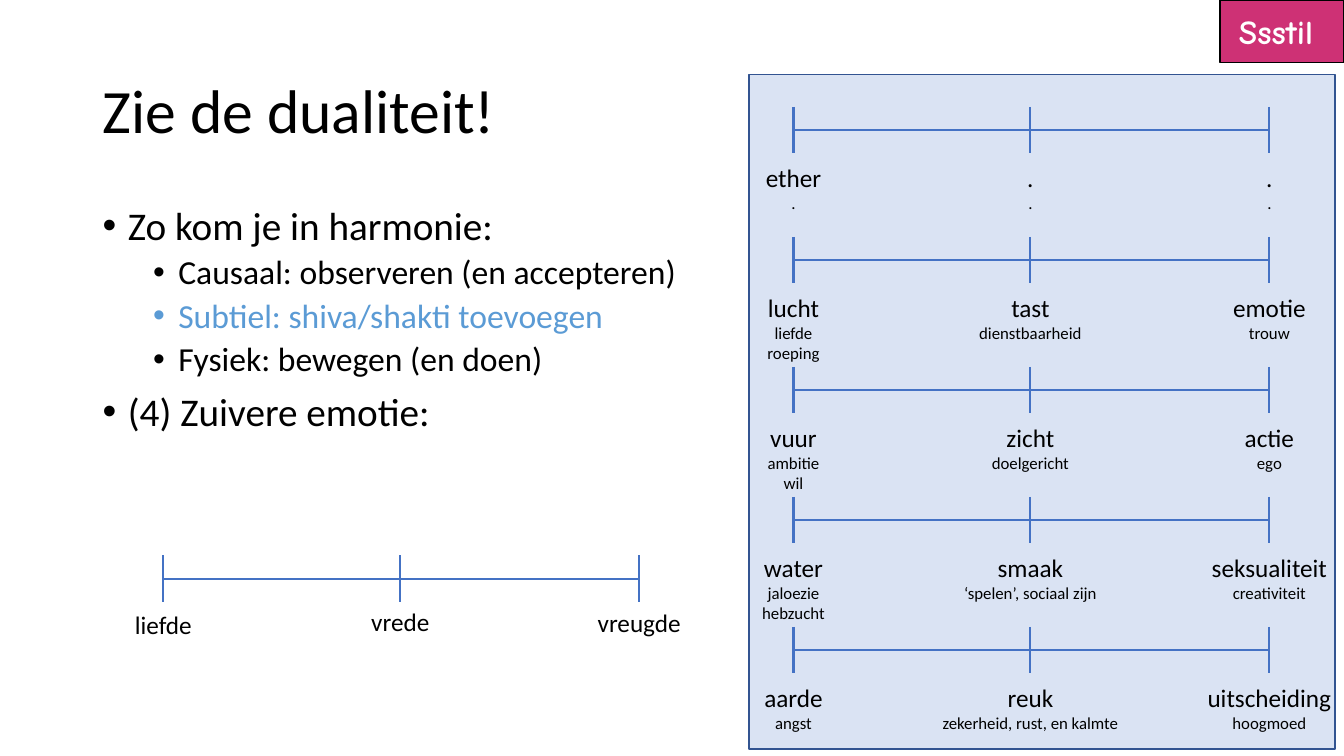
from pptx import Presentation
from pptx import util as u
from pptx.dml.color import RGBColor
from pptx.enum import shapes, text
from pptx.oxml import ns
from lxml import etree

HUES = {"ink": "000000", "white": "FFFFFF", "sky": "5B9BD5", "line": "4472C4",
        "pale": "DAE3F3", "navy": "325491", "pink": "CE3175"}
MID = text.PP_ALIGN.CENTER


class Deck:
    """Draws styled elements on the current slide."""

    font = "Calibri"
    stops = (0, 2.35, 4.72)
    tick = 0.23

    def __init__(self, slide):
        self.slide = slide

    def hue(self, name):
        return RGBColor.from_string(HUES[name])

    def style(self, para, size, hue="ink", font=None, bold=False):
        for run in para.runs:
            face = run.font
            face.name, face.size, face.bold = font or self.font, u.Pt(size), bold
            face.color.rgb = self.hue(hue)

    def text(self, box, words, wrap=True):
        frame = self.slide.shapes.add_textbox(*map(u.Inches, box)).text_frame
        frame.word_wrap = wrap
        frame.text = words
        return frame

    def title(self, box, words):
        frame = self.text(box, words)
        frame.vertical_anchor = text.MSO_ANCHOR.MIDDLE
        frame.paragraphs[0].line_spacing = 0.9
        self.style(frame.paragraphs[0], 44)

    def bullets(self, box, items):
        frame = self.text(box, "\n".join(words for words, _, _ in items))
        for para, (_, level, hue) in zip(frame.paragraphs, items):
            para.level = level
            para.line_spacing = 0.9
            para.space_before = u.Pt(5 if level else 10)
            self.style(para, 24 if level else 28, hue)
            props = para._p.get_or_add_pPr()
            props.set("marL", str(u.Inches(0.25 + 0.5 * level)))
            props.set("indent", str(u.Inches(-0.25)))
            etree.SubElement(props, ns.qn("a:buFont")).set("typeface", "Arial")
            etree.SubElement(props, ns.qn("a:buChar")).set("char", "•")

    def rect(self, box, fill, line, words="", **look):
        shape = self.slide.shapes.add_shape(
            shapes.MSO_SHAPE.RECTANGLE, *map(u.Inches, box))
        shape.shadow.inherit = False
        shape.fill.solid()
        shape.fill.fore_color.rgb = self.hue(fill)
        shape.line.color.rgb = self.hue(line)
        shape.line.width = u.Pt(1)
        if words:
            frame = shape.text_frame
            frame.text = words
            frame.vertical_anchor = text.MSO_ANCHOR.MIDDLE
            frame.paragraphs[0].alignment = MID
            self.style(frame.paragraphs[0], **look)

    def line(self, *ends):
        link = self.slide.shapes.add_connector(
            shapes.MSO_CONNECTOR.STRAIGHT, *map(u.Inches, ends))
        link.line.color.rgb = self.hue("line")
        link.line.width = u.Pt(1.5)
        etree.SubElement(link._element.spPr, ns.qn("a:effectLst"))

    def label(self, x, y, words, width):
        count = len(words.split("\n"))
        box = (x - width / 2, y, width, 0.2 + 0.2 * count)
        frame = self.text(box, words, wrap=False)
        frame.auto_size = text.MSO_AUTO_SIZE.SHAPE_TO_FIT_TEXT
        for rank, para in enumerate(frame.paragraphs):
            para.alignment = MID
            self.style(para, 12 if rank else 18)

    def scale(self, x, y, labels, drops=(0.27, 0.27, 0.27)):
        self.line(x, y, x + self.stops[-1], y)
        for stop, drop, (words, width) in zip(self.stops, drops, labels):
            self.line(x + stop, y - self.tick, x + stop, y + self.tick)
            self.label(x + stop, y + drop, words, width)


def main():
    prs = Presentation()
    prs.slide_width, prs.slide_height = u.Inches(13.33), u.Inches(7.5)
    deck = Deck(prs.slides.add_slide(prs.slide_layouts[6]))

    deck.bullets((0.92, 2, 11.5, 4.76), [
        ("Zo kom je in harmonie:", 0, "ink"),
        ("Causaal: observeren (en accepteren)", 1, "ink"),
        ("Subtiel: shiva/shakti toevoegen", 1, "sky"),
        ("Fysiek: bewegen (en doen)", 1, "ink"),
        ("(4) Zuivere emotie:", 0, "ink"),
    ])
    deck.rect((7.43, 0.74, 5.81, 6.69), "pale", "navy")
    deck.title((0.92, 0.4, 11.5, 1.45), "Zie de dualiteit!")
    deck.scale(1.62, 5.74, [("liefde", 0.77), ("vrede", 0.79), ("vreugde", 1.04)],
               drops=(0.26, 0.23, 0.24))

    rows = [
        [("ether\n.", 0.76), (".\n.", 0.27), (".\n.", 0.27)],
        [("lucht\nliefde\nroeping", 0.72), ("tast\ndienstbaarheid", 1.23),
         ("emotie\ntrouw", 0.93)],
        [("vuur\nambitie\nwil", 0.72), ("zicht\ndoelgericht", 0.97),
         ("actie\nego", 0.7)],
        [("water\njaloezie\nhebzucht", 0.83), ("smaak\n‘spelen’, sociaal zijn", 1.53),
         ("seksualiteit\ncreativiteit", 1.36)],
        [("aarde\nangst", 0.79), ("reuk\nzekerheid, rust, en kalmte", 1.96),
         ("uitscheiding\nhoogmoed", 1.44)],
    ]
    for rank, labels in enumerate(rows, 1):
        deck.scale(7.87, 1.29 * rank, labels)

    deck.rect((12.1, 0, 1.23, 0.62), "pink", "ink", "Ssstil ",
              size=24, hue="white", font="Comic Neue", bold=True)
    prs.save("out.pptx")


if __name__ == "__main__":
    main()
